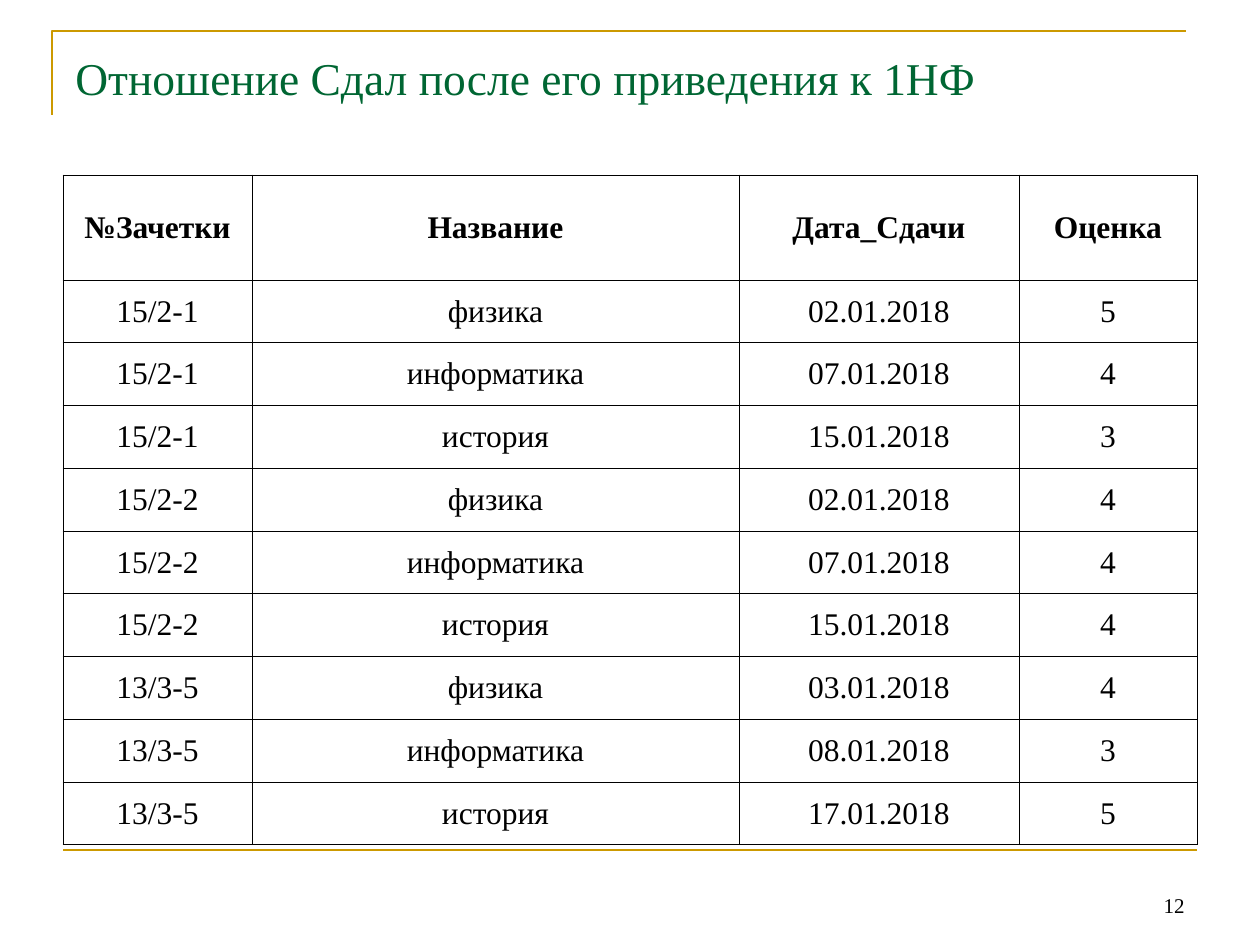
from lxml.etree import SubElement
from pptx import Presentation
from pptx.dml.color import RGBColor
from pptx.enum.shapes import MSO_CONNECTOR
from pptx.enum.text import MSO_ANCHOR as ANCHOR, PP_ALIGN as ALIGN
from pptx.oxml.ns import qn
from pptx.util import Pt

COLORS = {"rule": "CC9900", "title": "006633", "text": "000000"}
FONT = "Times New Roman"

HEADER = ["№Зачетки", "Название", "Дата_Сдачи", "Оценка"]
SUBJECTS = ["физика", "информатика", "история"]
# Each record book: dates and grades in the order of SUBJECTS
RESULTS = {
    "15/2-1": [("02.01.2018", "5"), ("07.01.2018", "4"), ("15.01.2018", "3")],
    "15/2-2": [("02.01.2018", "4"), ("07.01.2018", "4"), ("15.01.2018", "4")],
    "13/3-5": [("03.01.2018", "4"), ("08.01.2018", "3"), ("17.01.2018", "5")],
}
COL_WIDTHS = [189, 487, 280, 178]
TABLE_HEIGHT, HEADER_HEIGHT = 670, 105


def px(n):
    return round(n * 914400 / 126)


def rgb(name):
    return RGBColor.from_string(COLORS[name])


def write(tf, text, size, color="text", align=ALIGN.LEFT, bold=False):
    p = tf.paragraphs[0]
    p.alignment = align
    r = p.add_run()
    r.text = text
    for name, value in {"name": FONT, "size": Pt(size), "bold": bold}.items():
        setattr(r.font, name, value)
    r.font.color.rgb = rgb(color)


def add_text(s, box, text, size, anchor, top_inset=6, **style):
    tf = s.shapes.add_textbox(*map(px, box)).text_frame
    tf.word_wrap = True
    tf.vertical_anchor = anchor
    tf.margin_top = px(top_inset)
    write(tf, text, size, **style)


def style_rule(line):
    line.color.rgb = rgb("rule")
    line.width = Pt(1.5)


def add_corner(s, points):
    start, *rest = [(px(x), px(y)) for x, y in points]
    builder = s.shapes.build_freeform(*start)
    builder.add_line_segments(rest, close=False)
    sp = builder.convert_to_shape()
    sp.shadow.inherit = False
    sp.fill.background()
    style_rule(sp.line)


def add_rule(s, x1, y1, x2, y2):
    line = s.shapes.add_connector(MSO_CONNECTOR.STRAIGHT, *map(px, (x1, y1, x2, y2)))
    style_rule(line.line)
    SubElement(line._element.spPr, qn("a:effectLst"))


def add_borders(cell):
    tcPr = cell._tc.get_or_add_tcPr()
    for side in "LRTB":
        ln = SubElement(tcPr, qn(f"a:ln{side}"), w=str(Pt(0.45)))
        fill = SubElement(ln, qn("a:solidFill"))
        SubElement(fill, qn("a:srgbClr"), val=COLORS["text"])


def add_grid(s, left, top, rows):
    frame = s.shapes.add_table(len(rows), len(HEADER), px(left), px(top),
                               px(sum(COL_WIDTHS)), px(TABLE_HEIGHT))
    table = frame.table
    table.first_row = table.horz_banding = False
    for col, width in zip(table.columns, COL_WIDTHS):
        col.width = px(width)
    body_height = px(TABLE_HEIGHT - HEADER_HEIGHT) // (len(rows) - 1)
    for i, values in enumerate(rows):
        table.rows[i].height = body_height if i else px(HEADER_HEIGHT)
        for cell, value in zip(table.rows[i].cells, values):
            add_borders(cell)
            cell.fill.background()
            cell.vertical_anchor = ANCHOR.MIDDLE
            write(cell.text_frame, value, 18, align=ALIGN.CENTER, bold=i == 0)


def main():
    prs = Presentation()
    prs.slide_width, prs.slide_height = px(1260), px(945)
    s = prs.slides.add_slide(prs.slide_layouts[6])

    # Decorative rules
    add_corner(s, [(52, 115), (52, 31), (1186, 31)])
    add_rule(s, 63, 850, 1197, 850)

    # Title
    add_text(s, (63, 38, 1150, 110), "Отношение Сдал после его приведения к 1НФ",
             26, ANCHOR.TOP, top_inset=12, color="title")

    # Exam results
    rows = [HEADER] + [[book, subject, *result]
                       for book, results in RESULTS.items()
                       for subject, result in zip(SUBJECTS, results)]
    add_grid(s, 63, 175, rows)

    # Slide number
    add_text(s, (903, 861, 294, 63), "12", 12, ANCHOR.BOTTOM, align=ALIGN.RIGHT)

    prs.save("out.pptx")


if __name__ == "__main__":
    main()
